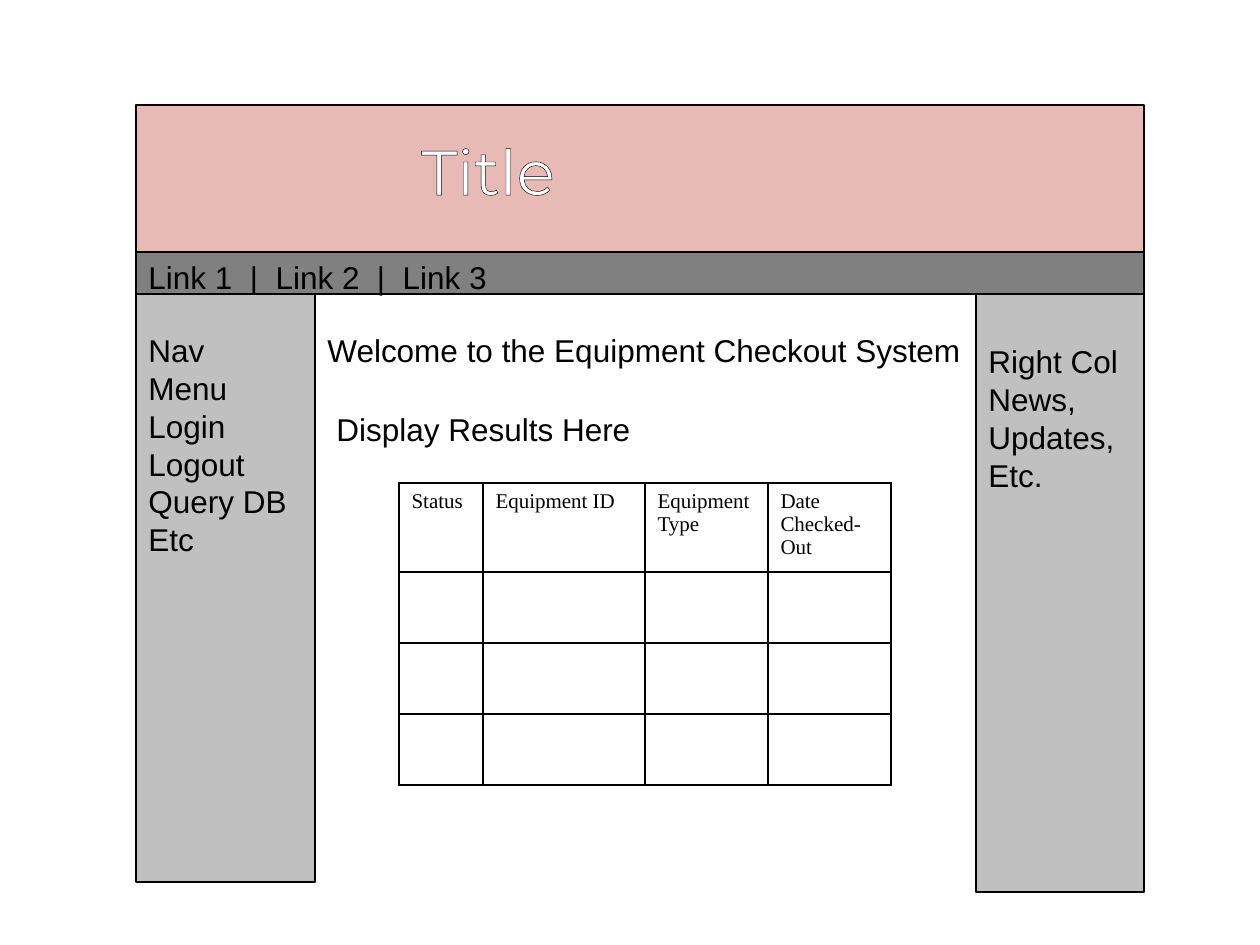
from lxml import etree
from pptx import Presentation, util as u
from pptx.dml.color import RGBColor
from pptx.enum import shapes, text
from pptx.oxml import ns

PX = u.Inches(1) / 126
BLACK = RGBColor(0x00, 0x00, 0x00)
WHITE = RGBColor(0xFF, 0xFF, 0xFF)
PINK = RGBColor(0xE8, 0xBA, 0xB6)
GRAY = RGBColor(0x80, 0x80, 0x80)
SILVER = RGBColor(0xC0, 0xC0, 0xC0)


def px(*lengths):
    return [u.Emu(round(length * PX)) for length in lengths]


def black_line(tag, points):
    line = etree.Element(ns.qn(tag), w=str(u.Pt(points)))
    fill = etree.SubElement(line, ns.qn("a:solidFill"))
    etree.SubElement(fill, ns.qn("a:srgbClr"), val=str(BLACK))
    return line


def write(frame, lines, size=18, font="Arial", color=BLACK, align=None, outline=None):
    for i, line in enumerate(lines):
        paragraph = frame.paragraphs[0] if i == 0 else frame.add_paragraph()
        paragraph.alignment = align
        run = paragraph.add_run()
        run.text = line
        run.font.size = u.Pt(size)
        run.font.name = font
        run.font.color.rgb = color
        if outline:
            run.font._element.insert(0, black_line("a:ln", outline))


def label(slide, box, lines, **style):
    frame = slide.shapes.add_textbox(*px(*box)).text_frame
    frame.word_wrap = False
    write(frame, lines, **style)


def panel(slide, box, color):
    rect = slide.shapes.add_shape(shapes.MSO_SHAPE.RECTANGLE, *px(*box))
    rect.shadow.inherit = False
    rect.fill.solid()
    rect.fill.fore_color.rgb = color
    rect.line.color.rgb = BLACK
    rect.line.width = u.Pt(0.75)


def banner(slide, box):
    left, top, width, height = box
    panel(slide, box, PINK)
    label(slide, (left + 221, top + 21, 262, 90), ["Title"], size=36,
          font="Montserrat", color=WHITE, align=text.PP_ALIGN.CENTER, outline=0.75)


def link_bar(slide, box):
    left, top, width, height = box
    panel(slide, box, GRAY)
    label(slide, (left, top, 364, 50), ["Link 1  |  Link 2  |  Link 3"])


def side_column(slide, box, text_drop, lines):
    left, top, width, height = box
    panel(slide, box, SILVER)
    label(slide, (left, top + text_drop, width - 11, 12 + 38 * len(lines)), lines)


def results_table(slide, box):
    headings = ["Status", "Equipment ID", "Equipment Type", "Date Checked-Out"]
    column_widths = [84, 162, 123, 123]
    row_heights = [89, 71, 71, 71]
    table = slide.shapes.add_table(len(row_heights), len(headings), *px(*box)).table
    table.first_row = table.horz_banding = False
    for column, width in zip(table.columns, px(*column_widths)):
        column.width = width
    for row, height in zip(table.rows, px(*row_heights)):
        row.height = height
    for cell in table.iter_cells():
        cell.fill.background()
        properties = cell._tc.get_or_add_tcPr()
        for i, side in enumerate("LRTB"):
            properties.insert(i, black_line("a:ln" + side, 1))
    for cell, heading in zip(table.rows[0].cells, headings):
        write(cell.text_frame, [heading], size=12, font="Times New Roman")


def main_area(slide, box):
    left, top, width, height = box
    label(slide, (left, top + 31, 659, 50), ["Welcome to the Equipment Checkout System"])
    label(slide, (left + 9, top + 110, 319, 50), ["Display Results Here"])
    results_table(slide, (left + 84, top + 189, 492, 302))


def main():
    deck = Presentation()
    deck.slide_width, deck.slide_height = u.Inches(10), u.Inches(7.5)
    slide = deck.slides.add_slide(deck.slide_layouts[6])

    # Page header
    banner(slide, (136, 105, 1008, 147))
    link_bar(slide, (136, 252, 1008, 42))

    # Three columns below it
    side_column(slide, (136, 294, 179, 588), 31,
                ["Nav Menu", "Login", "Logout", "Query DB", "Etc"])
    main_area(slide, (315, 294, 661, 588))
    side_column(slide, (976, 294, 168, 598), 42,
                ["Right Col", "News,", "Updates,", "Etc."])

    deck.save("out.pptx")


if __name__ == "__main__":
    main()
